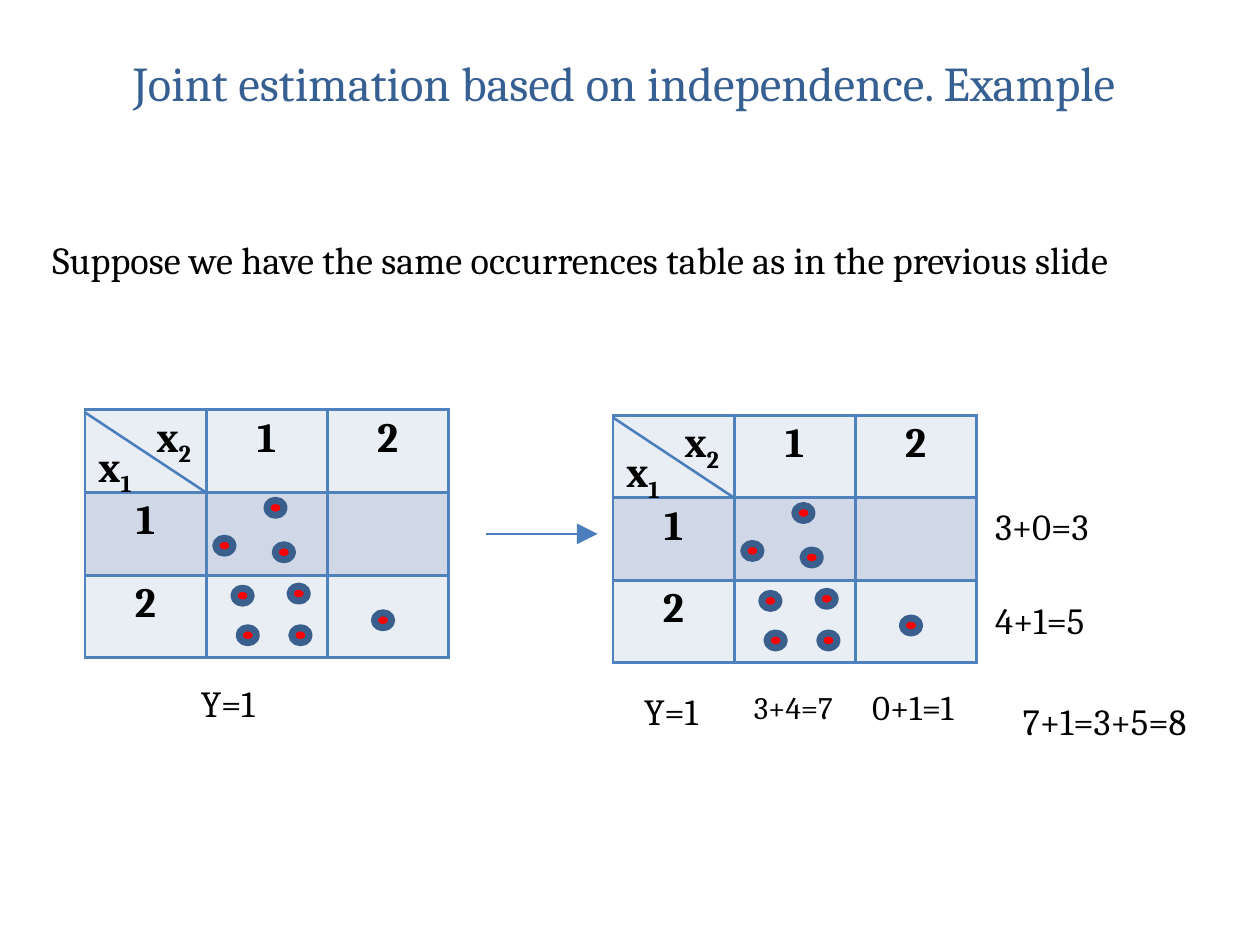
from dataclasses import dataclass
from itertools import product

from lxml.etree import SubElement
from pptx import Presentation
from pptx.dml.color import RGBColor
from pptx.enum.shapes import MSO_CONNECTOR, MSO_SHAPE
from pptx.enum.text import PP_ALIGN
from pptx.oxml.ns import qn
from pptx.util import Pt

COLORS = {
    "title": "376092", "ink": "000000", "light": "E9EDF4", "dark": "D0D8E8",
    "edge": "4F81BD", "line": "4B7EBC", "dot": "FF0000", "ring": "3A5F8C",
}
FONT = "Cambria"
CELL_W, CELL_H = 34.9, 23.8
DOT_W, DOT_H = 5, 4.3
PAD = (2.9, 1.4)
HEADS = {(0, 1): "1", (0, 2): "2", (1, 0): "1", (2, 0): "2"}


@dataclass
class Grid:
    left: float
    top: float


@dataclass
class Dot:
    x: float
    y: float


@dataclass
class Label:
    text: str
    left: float
    top: float
    width: float
    size: float = 10.6


GRIDS = [Grid(24.5, 118.1), Grid(176.6, 119.6)]
DOTS = [
    Dot(54.9, 28.2), Dot(40.2, 39.1), Dot(57.3, 41), Dot(45.4, 53.5),
    Dot(46.9, 64.9), Dot(61.6, 52.9), Dot(62.1, 64.9), Dot(85.9, 60.6),
]
LABELS = [
    Label("Y=1", 55, 196, 26.6),
    Label("3+0=3", 283.8, 145.2, 43.2),
    Label("4+1=5", 283.8, 172.2, 43.2),
    Label("3+4=7", 214.3, 198, 33.8, 9),
    Label("0+1=1", 248.4, 197.5, 35.3, 10),
    Label("7+1=3+5=8", 291.7, 201.4, 72.7),
    Label("Y=1", 182.7, 198.5, 26.6),
]


def paint(color: str) -> RGBColor:
    return RGBColor.from_string(COLORS[color])


def write(frame, text: str, *, size: float, color: str = "ink", bold: bool = False,
          align=PP_ALIGN.LEFT, sub: str = "", pad=(0, 0), wrap: bool = True,
          before: float = 0, spacing: float = 1) -> None:
    frame.margin_left = frame.margin_right = Pt(pad[0])
    frame.margin_top = frame.margin_bottom = Pt(pad[1])
    frame.word_wrap = wrap
    para = frame.paragraphs[0]
    para.alignment = align
    para.space_before = Pt(before)
    para.line_spacing = spacing
    for part in filter(None, (text, sub)):
        run = para.add_run()
        run.text = part
        font = run.font
        font.name, font.size, font.bold = FONT, Pt(size), bold
        font.color.rgb = paint(color)
    if sub:
        font._element.set("baseline", "-25000")


def frame_at(slide, left: float, top: float, width: float, height: float):
    return slide.shapes.add_textbox(Pt(left), Pt(top), Pt(width), Pt(height)).text_frame


def draw_line(slide, x1: float, y1: float, x2: float, y2: float, arrow: bool = False) -> None:
    line = slide.shapes.add_connector(MSO_CONNECTOR.STRAIGHT, Pt(x1), Pt(y1), Pt(x2), Pt(y2))
    line.line.width = Pt(0.75)
    line.line.color.rgb = paint("line")
    if arrow:
        SubElement(line.line._get_or_add_ln(), qn("a:tailEnd"), type="triangle")
    SubElement(line._element.spPr, qn("a:effectLst"))


def edge_cell(cell) -> None:
    props = cell._tc.get_or_add_tcPr()
    for index, side in enumerate(("lnL", "lnR", "lnT", "lnB")):
        line = props.makeelement(qn(f"a:{side}"), {"w": str(Pt(1))})
        fill = SubElement(line, qn("a:solidFill"))
        SubElement(fill, qn("a:srgbClr"), val=COLORS["edge"])
        props.insert(index, line)


def draw_table(slide, grid: Grid) -> None:
    table = slide.shapes.add_table(
        3, 3, Pt(grid.left), Pt(grid.top), Pt(3 * CELL_W), Pt(3 * CELL_H)).table
    for index in range(3):
        table.columns[index].width = Pt(CELL_W)
        table.rows[index].height = Pt(CELL_H)
    for row, col in product(range(3), repeat=2):
        cell = table.cell(row, col)
        cell.fill.solid()
        cell.fill.fore_color.rgb = paint("dark" if row == 1 else "light")
        edge_cell(cell)
        cell.margin_left = cell.margin_right = Pt(PAD[0])
        cell.margin_top = cell.margin_bottom = Pt(PAD[1])
        if (row, col) in HEADS:
            write(cell.text_frame, HEADS[row, col], size=12, bold=True,
                  align=PP_ALIGN.CENTER, pad=PAD)
        else:
            SubElement(cell.text_frame.paragraphs[0]._p, qn("a:endParaRPr"), sz="1200")


def draw_dot(slide, grid: Grid, dot: Dot) -> None:
    shape = slide.shapes.add_shape(
        MSO_SHAPE.OVAL, Pt(grid.left + dot.x - DOT_W / 2),
        Pt(grid.top + dot.y - DOT_H / 2), Pt(DOT_W), Pt(DOT_H))
    shape.shadow.inherit = False
    shape.fill.solid()
    shape.fill.fore_color.rgb = paint("dot")
    shape.line.color.rgb = paint("ring")
    shape.line.width = Pt(2)


def draw_grid(slide, grid: Grid) -> None:
    draw_table(slide, grid)
    for dot in DOTS:
        draw_dot(slide, grid, dot)
    draw_line(slide, grid.left, grid.top + 0.7, grid.left + CELL_W, grid.top + CELL_H)
    for sub, x, y in (("2", 12.4, -3.4), ("1", -4.5, 5.2)):
        frame = frame_at(slide, grid.left + x, grid.top + y, 26.3, 21.6)
        write(frame, "x", sub=sub, size=12.1, bold=True, align=PP_ALIGN.CENTER,
              pad=(7.2, 3.6), wrap=False)


def main() -> None:
    deck = Presentation()
    deck.slide_width = Pt(363)
    deck.slide_height = Pt(272.5)
    slide = deck.slides.add_slide(deck.slide_layouts[6])
    write(frame_at(slide, -1.4, 15.4, 362.9, 17.3),
          "Joint estimation based on independence. Example",
          size=14, color="title", align=PP_ALIGN.CENTER)
    write(frame_at(slide, 15.1, 68.1, 344.2, 13.7),
          "Suppose we have the same occurrences table as in the previous slide", size=11)
    for grid in GRIDS:
        draw_grid(slide, grid)
    for label in LABELS:
        write(frame_at(slide, label.left, label.top, label.width, 15.8), label.text,
              size=label.size, pad=PAD, before=3.8, spacing=0.9)
    draw_line(slide, 140.1, 153.8, 172.2, 153.8, arrow=True)
    deck.save("out.pptx")


if __name__ == "__main__":
    main()
